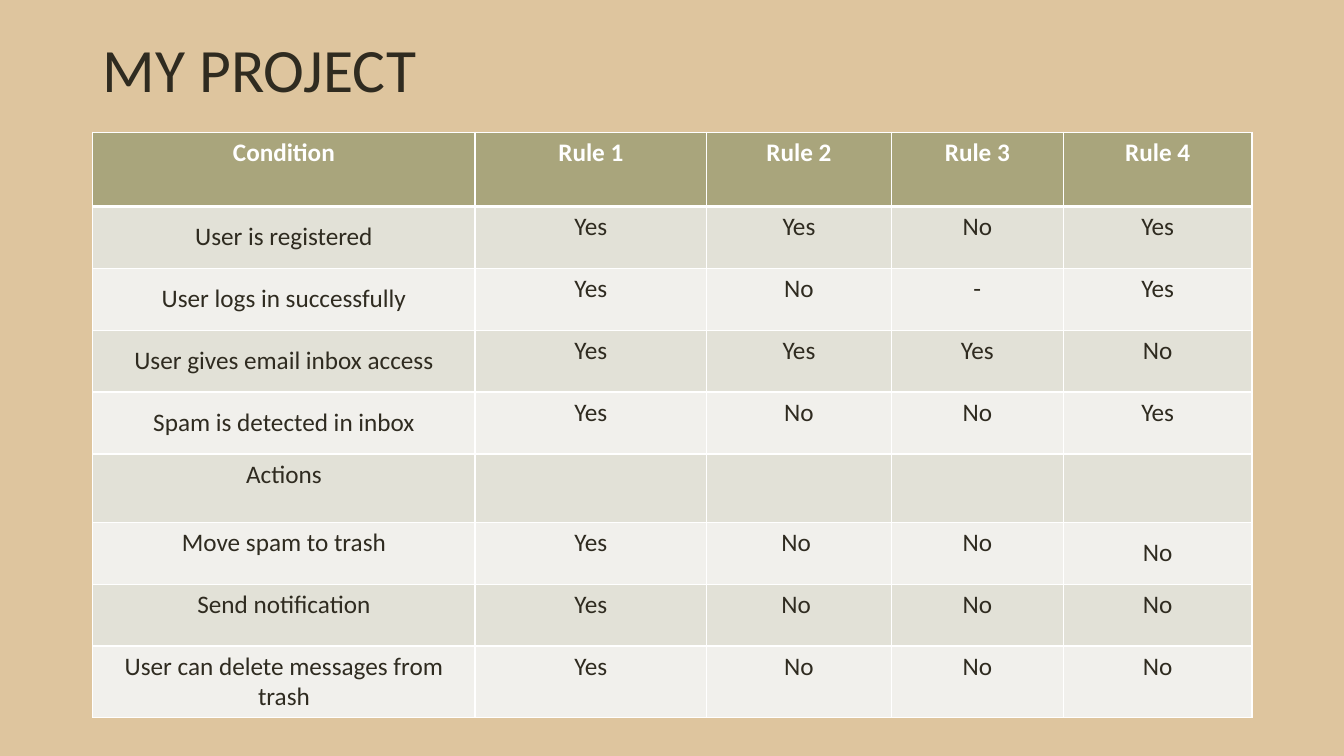
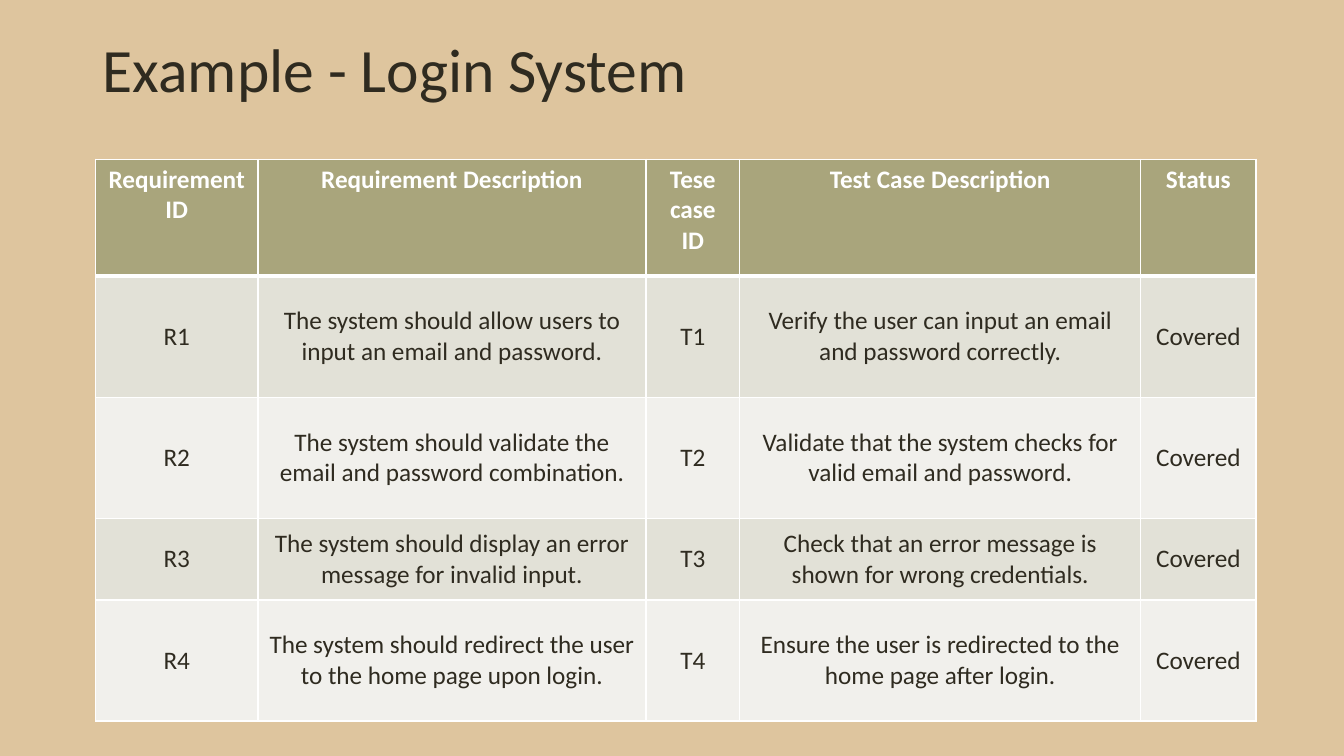
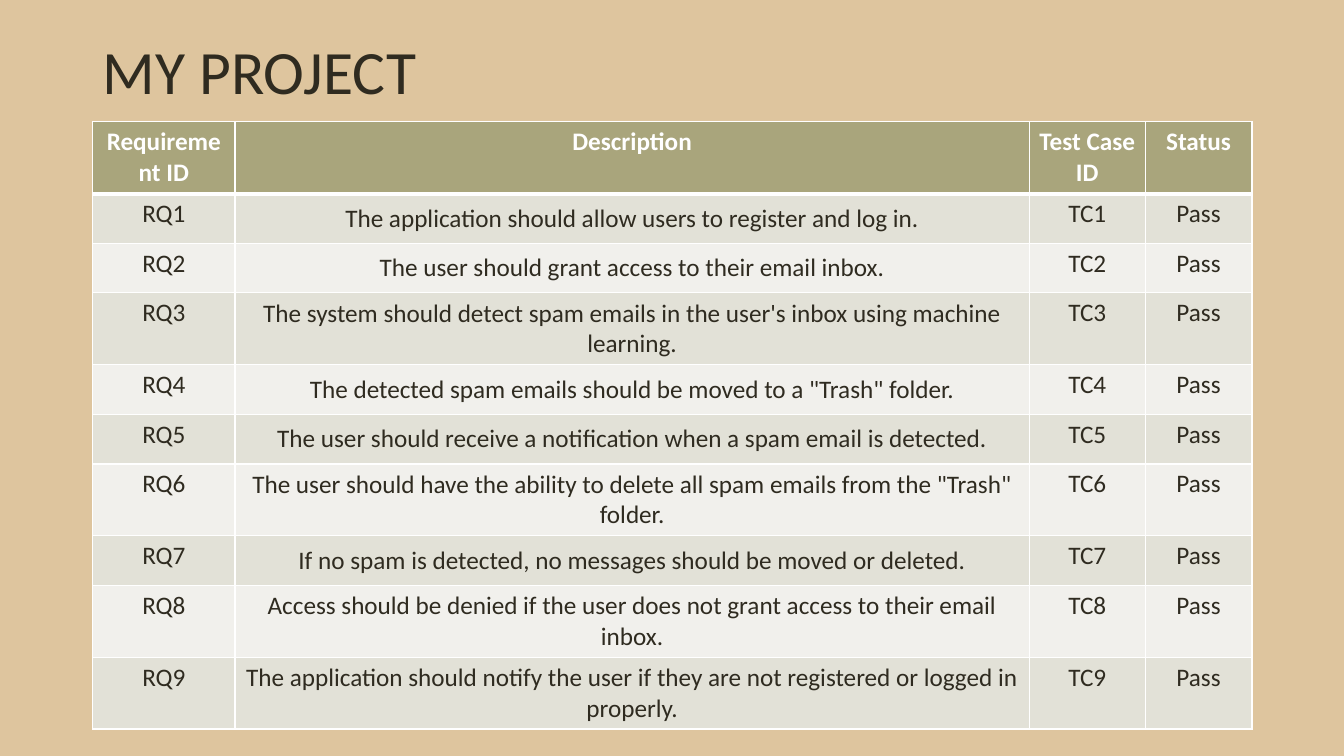
from lxml import etree
from pptx import Presentation
from pptx.dml.color import RGBColor
from pptx.enum import text
from pptx.oxml import ns
from pptx.util import Cm, Pt

SAND = RGBColor(0xDE, 0xC5, 0x9E)
INK = RGBColor(0x2F, 0x2B, 0x20)
OLIVE = RGBColor(0xA9, 0xA5, 0x7C)
BANDS = RGBColor(0xE2, 0xE1, 0xD7), RGBColor(0xF1, 0xF0, 0xEC)
WHITE = RGBColor(0xFF, 0xFF, 0xFF)
FONT = "Calibri"
LEFT, TITLE_WIDTH, TITLE_HEIGHT = 2.34, 29.21, 3.68
THIN, THICK = 1, 3

RULES = [
    ("Condition", "Rule 1", "Rule 2", "Rule 3", "Rule 4"),
    ("User is registered", "Yes", "Yes", "No", "Yes"),
    ("User logs in successfully", "Yes", "No", "-", "Yes"),
    ("User gives email inbox access", "Yes", "Yes", "Yes", "No"),
    ("Spam is detected in inbox", "Yes", "No", "No", "Yes"),
    ("Actions", "", "", "", ""),
    ("Move spam to trash", "Yes", "No ", "No", "No"),
    ("Send notification", "Yes", "No ", "No", "No"),
    ("User can delete messages from trash", "Yes", "No", "No", "No"),
]

LOGIN_CASES = [
    ("The system should allow users to input an email and password.",
     "Verify the user can input an email and password correctly."),
    ("The system should validate the email and password combination.",
     "Validate that the system checks for valid email and password."),
    ("The system should display an error message for invalid input.",
     "Check that an error message is shown for wrong credentials."),
    ("The system should redirect the user to the home page upon login.",
     "Ensure the user is redirected to the home page after login."),
]

REQUIREMENTS = [
    "The application should allow users to register and log in.",
    "The user should grant access to their email inbox.",
    "The system should detect spam emails in the user's inbox using machine learning.",
    'The detected spam emails should be moved to a "Trash" folder.',
    "The user should receive a notification when a spam email is detected.",
    'The user should have the ability to delete all spam emails from the "Trash" folder.',
    "If no spam is detected, no messages should be moved or deleted.",
    "Access should be denied if the user does not grant access to their email inbox.",
    "The application should notify the user if they are not registered or logged in properly.",
]


def set_font(p, size, color, bold=False):
    p.font.name, p.font.size, p.font.bold = FONT, Pt(size), bold
    p.font.color.rgb = color


def add_slide(prs, title, title_height=TITLE_HEIGHT):
    s = prs.slides.add_slide(prs.slide_layouts[6])
    tf = s.shapes.add_textbox(Cm(LEFT), Cm(0), Cm(TITLE_WIDTH), Cm(title_height)).text_frame
    tf.word_wrap = True
    tf.vertical_anchor = text.MSO_ANCHOR.MIDDLE
    p = tf.paragraphs[0]
    p.text = title
    p.line_spacing = 0.9
    set_font(p, 44, INK)
    return s


def set_borders(cell, top, bottom):
    """Draw white cell borders; call before the fill, which must follow them."""
    tcPr = cell._tc.get_or_add_tcPr()
    for side, width in zip("LRTB", (THIN, THIN, top, bottom)):
        ln = etree.SubElement(tcPr, ns.qn(f"a:ln{side}"), w=str(Pt(width)))
        fill = etree.SubElement(ln, ns.qn("a:solidFill"))
        etree.SubElement(fill, ns.qn("a:srgbClr"), val=str(WHITE))


def add_table(s, left, top, widths, heights, rows, is_middle):
    """Add a banded table; is_middle(row, column) picks vertically centred body cells."""
    table = s.shapes.add_table(len(rows), len(widths), Cm(left), Cm(top),
                               Cm(sum(widths)), Cm(sum(heights))).table
    for column, width in zip(table.columns, widths):
        column.width = Cm(width)
    for i, (row, height, values) in enumerate(zip(table.rows, heights, rows)):
        row.height = Cm(height)
        header = i == 0
        for j, (cell, value) in enumerate(zip(row.cells, values)):
            set_borders(cell, THICK if i == 1 else THIN, THICK if header else THIN)
            cell.fill.solid()
            cell.fill.fore_color.rgb = OLIVE if header else BANDS[(i - 1) % 2]
            if not header and is_middle(i, j):
                cell.vertical_anchor = text.MSO_ANCHOR.MIDDLE
            p = cell.text_frame.paragraphs[0]
            p.text = value
            p.alignment = text.PP_ALIGN.CENTER
            set_font(p, 18, WHITE if header else INK, header)


def add_rules_slide(prs):
    s = add_slide(prs, "MY PROJECT")
    add_table(s, LEFT, 3.33, [9.63, 5.84, 4.65, 4.34, 4.75],
              [1.87] + [1.56] * 4 + [1.72] + [1.56] * 2 + [1.81], RULES,
              lambda i, j: (j == 0 and i <= 4) or (i, j) == (6, 4))


def add_login_slide(prs):
    s = add_slide(prs, "Example - Login System")
    rows = [("Requirement ID", "Requirement Description", "Tese case ID",
             "Test Case Description", "Status")]
    rows += [(f"R{n}", requirement, f"T{n}", test, "Covered")
             for n, (requirement, test) in enumerate(LOGIN_CASES, 1)]
    add_table(s, 2.41, 4.01, [4.09, 9.78, 2.36, 10.11, 2.9],
              [2.95, 3.05, 3.05, 2.06, 3.05], rows, lambda i, j: True)


def add_requirements_slide(prs):
    s = add_slide(prs, "MY PROJECT", 3.76)
    rows = [("Requirement ID", "Description", "Test Case ID", "Status")]
    rows += [(f"RQ{n}", requirement, f"TC{n}", "Pass")
             for n, requirement in enumerate(REQUIREMENTS, 1)]
    one_line, two_lines = 1.25, 1.81
    heights = [two_lines] + [two_lines if len(r) > 75 else one_line for r in REQUIREMENTS]
    add_table(s, LEFT, 3.07, [3.58, 20.02, 2.92, 2.69], heights, rows,
              lambda i, j: j == 1)


def main():
    prs = Presentation()
    prs.slide_width, prs.slide_height = Cm(33.87), Cm(19.05)
    background = prs.slide_master.background.fill
    background.solid()
    background.fore_color.rgb = SAND
    add_rules_slide(prs)
    add_login_slide(prs)
    add_requirements_slide(prs)
    prs.save("out.pptx")


if __name__ == "__main__":
    main()
